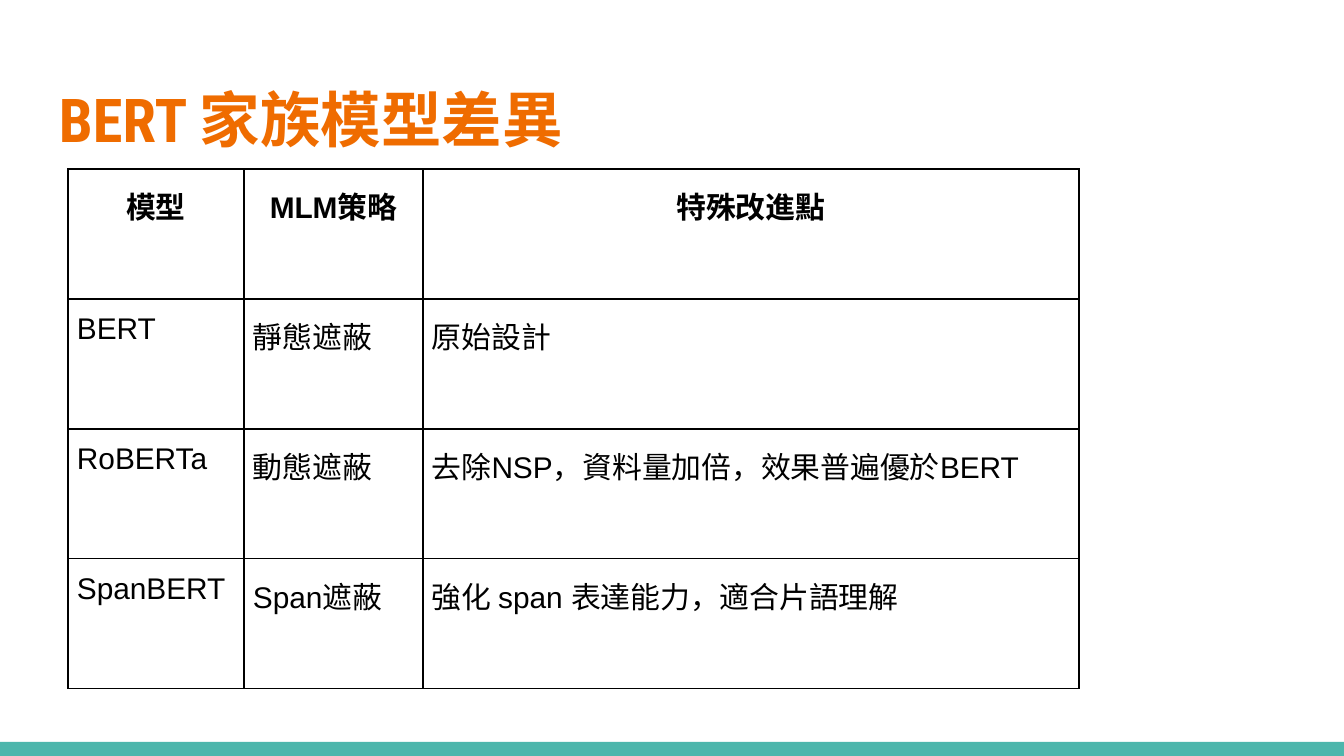
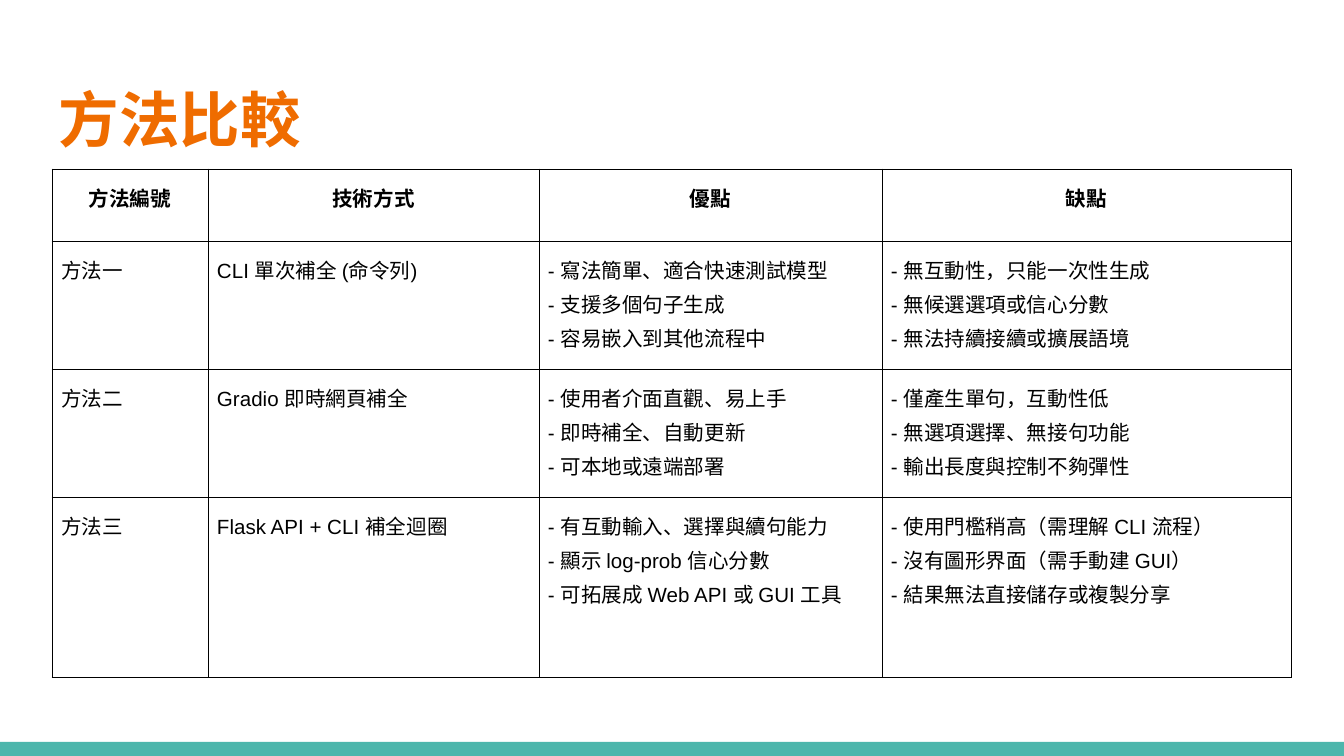
import dataclasses

import lxml.etree
import pptx
import pptx.dml.color
import pptx.enum.shapes
import pptx.enum.text
import pptx.oxml.ns
import pptx.slide
import pptx.table
import pptx.text.text
import pptx.util

SCALE = 9144000 / 1344  # EMU in one px


@dataclasses.dataclass(frozen=True)
class Theme:
    paper: str = "FFFFFF"
    ink: str = "000000"
    accent: str = "EF6C00"
    band: str = "4DB6AC"
    head: str = "Roboto Condensed"
    body: str = "Arial"
    title: float = 32.4
    large: float = 16
    small: float = 11
    leading: float = 1.15


@dataclasses.dataclass(frozen=True)
class Grid:
    left: int
    cols: tuple[int, ...]
    rows: tuple[int, ...]
    size: float
    gap: float  # points before and after a paragraph
    line: float  # border width in points
    cells: tuple[tuple[str, ...], ...]


@dataclasses.dataclass(frozen=True)
class Page:
    title: str
    grid: Grid


THEME = Theme()
WIDTH, HEIGHT = 1344, 756
BAND = 14
TOP = 169
INSET = 9


def px(count: int) -> pptx.util.Emu:
    return pptx.util.Emu(round(count * SCALE))


def color(code: str) -> pptx.dml.color.RGBColor:
    return pptx.dml.color.RGBColor.from_string(code)


def points(*lines: str) -> str:
    """Join lines as one dashed paragraph with line breaks."""
    return "\v".join(f"- {line}" for line in lines)


# Content
MODELS = Grid(
    left=68, cols=(176, 179, 656), rows=(130,) * 4,
    size=THEME.large, gap=12, line=0.75,
    cells=(
        ("模型", "MLM策略", "特殊改進點"),
        ("BERT", "靜態遮蔽", "原始設計"),
        ("RoBERTa", "動態遮蔽", "去除NSP，資料量加倍，效果普遍優於BERT"),
        ("SpanBERT", "Span遮蔽", "強化 span 表達能力，適合片語理解"),
    ),
)

METHODS = Grid(
    left=52, cols=(156, 331, 343, 409), rows=(72, 128, 128, 181),
    size=THEME.small, gap=0, line=0.5,
    cells=(
        ("方法編號", "技術方式", "優點", "缺點"),
        (
            "方法一", "CLI 單次補全 (命令列)",
            points("寫法簡單、適合快速測試模型", "支援多個句子生成", "容易嵌入到其他流程中"),
            points("無互動性，只能一次性生成", "無候選選項或信心分數", "無法持續接續或擴展語境"),
        ),
        (
            "方法二", "Gradio 即時網頁補全",
            points("使用者介面直觀、易上手", "即時補全、自動更新", "可本地或遠端部署"),
            points("僅產生單句，互動性低", "無選項選擇、無接句功能", "輸出長度與控制不夠彈性"),
        ),
        (
            "方法三", "Flask API + CLI 補全迴圈",
            points("有互動輸入、選擇與續句能力", "顯示 log-prob 信心分數", "可拓展成 Web API 或 GUI 工具"),
            points("使用門檻稍高（需理解 CLI 流程）", "沒有圖形界面（需手動建 GUI）", "結果無法直接儲存或複製分享"),
        ),
    ),
)

PAGES = (Page("BERT 家族模型差異", MODELS), Page("方法比較", METHODS))


# Shared parts
def style(para: pptx.text.text._Paragraph, face: str, size: float, code: str, bold: bool) -> None:
    font = para.font
    font.name = face
    font.size = pptx.util.Pt(size)
    font.bold = bold
    font.color.rgb = color(code)


def frame(slide: pptx.slide.Slide, title: str) -> None:
    """Draw the background, bottom band and title."""
    slide.background.fill.solid()
    slide.background.fill.fore_color.rgb = color(THEME.paper)

    band = slide.shapes.add_shape(
        pptx.enum.shapes.MSO_SHAPE.RECTANGLE, px(0), px(HEIGHT - BAND), px(WIDTH), px(BAND))
    band.shadow.inherit = False
    band.fill.solid()
    band.fill.fore_color.rgb = color(THEME.band)
    band.line.fill.background()

    text = slide.shapes.add_textbox(px(46), px(66), px(1252), px(104)).text_frame
    text.word_wrap = True
    text.margin_left = text.margin_right = text.margin_top = text.margin_bottom = px(13)
    text.vertical_anchor = pptx.enum.text.MSO_ANCHOR.MIDDLE
    text.text = title
    style(text.paragraphs[0], THEME.head, THEME.title, THEME.accent, True)


# Table
def border(cell: pptx.table._Cell, width: float) -> None:
    props = cell._tc.get_or_add_tcPr()
    qn = pptx.oxml.ns.qn
    for spot, side in enumerate(("lnL", "lnR", "lnT", "lnB")):
        line = lxml.etree.Element(qn(f"a:{side}"), w=str(pptx.util.Pt(width)))
        fill = lxml.etree.SubElement(line, qn("a:solidFill"))
        lxml.etree.SubElement(fill, qn("a:srgbClr"), val=THEME.ink)
        props.insert(spot, line)


def write(cell: pptx.table._Cell, text: str, grid: Grid, header: bool) -> None:
    cell.margin_left = cell.margin_right = cell.margin_top = cell.margin_bottom = px(INSET)
    cell.fill.background()
    border(cell, grid.line)
    para = cell.text_frame.paragraphs[0]
    para.text = text
    para.line_spacing = THEME.leading
    para.space_before = para.space_after = pptx.util.Pt(grid.gap)
    if header:
        para.alignment = pptx.enum.text.PP_ALIGN.CENTER
    style(para, THEME.body, grid.size, THEME.ink, header)


def tabulate(slide: pptx.slide.Slide, grid: Grid) -> None:
    table = slide.shapes.add_table(
        len(grid.rows), len(grid.cols), px(grid.left), px(TOP),
        px(sum(grid.cols)), px(sum(grid.rows))).table
    table.first_row = table.horz_banding = False
    for col, width in zip(table.columns, grid.cols):
        col.width = px(width)
    for row, height in zip(table.rows, grid.rows):
        row.height = px(height)
    for r, texts in enumerate(grid.cells):
        for c, text in enumerate(texts):
            write(table.cell(r, c), text, grid, header=r == 0)


def main() -> None:
    deck = pptx.Presentation()
    deck.slide_width, deck.slide_height = px(WIDTH), px(HEIGHT)
    for page in PAGES:
        slide = deck.slides.add_slide(deck.slide_layouts[6])
        frame(slide, page.title)
        tabulate(slide, page.grid)
    deck.save("out.pptx")


if __name__ == "__main__":
    main()
